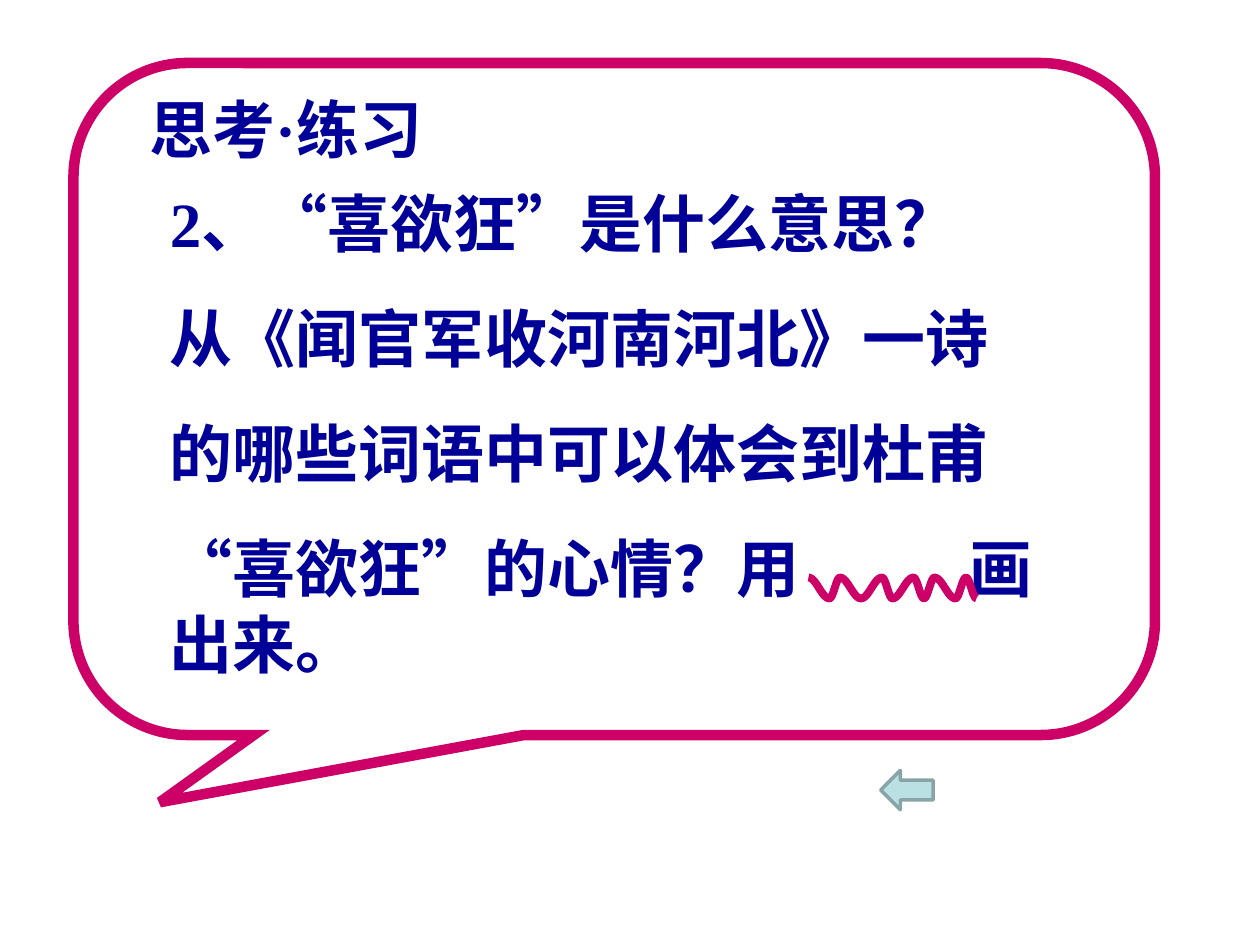
"""Build the reading exercise slide with its speech bubble."""
from itertools import pairwise
from math import cos, pi

from lxml.etree import SubElement
from pptx import Presentation
from pptx.dml.color import RGBColor
from pptx.enum.shapes import MSO_SHAPE
from pptx.enum.text import MSO_ANCHOR, MSO_AUTO_SIZE, PP_ALIGN
from pptx.oxml.ns import qn
from pptx.util import Pt

PX = 9525
NAVY = RGBColor(0x00, 0x00, 0x99)
PINK = RGBColor(0xCC, 0x00, 0x66)
WHITE = RGBColor(0xFF, 0xFF, 0xFF)
PALE = RGBColor(0xBB, 0xE0, 0xE3)
GREY = RGBColor(0x89, 0xA4, 0xA7)

TITLE = "思考·练习"
LINES = [
    "2、“喜欲狂”是什么意思？",
    "从《闻官军收河南河北》一诗",
    "的哪些词语中可以体会到杜甫",
    "“喜欲狂”的心情？用\t画出来。",
]
TURNS = [616, 632, 640, 656, 672, 680, 696, 704, 712, 728, 736, 744]


def write(frame, lines, *, size=36, color=NAVY, font="Times New Roman", gap=0, tab=None):
    """Fill a text frame with formatted paragraphs."""
    frame.word_wrap = True
    frame.auto_size = MSO_AUTO_SIZE.NONE
    frame.vertical_anchor = MSO_ANCHOR.TOP
    for i, line in enumerate(lines):
        para = frame.paragraphs[0] if i == 0 else frame.add_paragraph()
        if tab and "\t" in line:
            stops = SubElement(para._p.get_or_add_pPr(), qn("a:tabLst"))
            SubElement(stops, qn("a:tab"), pos=str(tab * PX), algn="l")
        para.alignment = PP_ALIGN.LEFT
        para.space_before = Pt(gap if i else 0)
        run = para.add_run()
        run.text = line
        run.font.name = font
        run.font.size = Pt(size)
        run.font.bold = True
        run.font.color.rgb = color


class Page:
    """Hold the slide and draw each kind of element on it."""

    def __init__(self, deck):
        self.slide = deck.slides.add_slide(deck.slide_layouts[5])
        self.items = self.slide.shapes

    def style(self, item, fill=None, line=None, width=1):
        item.shadow.inherit = False
        if fill is None:
            item.fill.background()
        else:
            item.fill.solid()
            item.fill.fore_color.rgb = fill
        if line is None:
            item.line.fill.background()
        else:
            item.line.color.rgb = line
            item.line.width = Pt(width)

    def title(self, text, *box):
        item = self.items.title
        item.left, item.top, item.width, item.height = (n * PX for n in box)
        write(item.text_frame, [text])

    def shape(self, kind, *box, adjust=(), **look):
        item = self.items.add_shape(kind, *(n * PX for n in box))
        for i, value in enumerate(adjust):
            item.adjustments[i] = value
        self.style(item, **look)
        return item

    def bubble(self, *box, **look):
        item = self.shape(MSO_SHAPE.ROUNDED_RECTANGULAR_CALLOUT, *box, **look)
        SubElement(item.line._get_or_add_ln(), qn("a:miter"), lim="800000")

    def wave(self, turns, high, low, steps=12, **look):
        points = []
        for i, (left, right) in enumerate(pairwise(turns)):
            start, end = (low, high) if i % 2 else (high, low)
            for step in range(1, steps + 1):
                part = step / steps
                ease = (1 - cos(pi * part)) / 2
                points.append(((left + (right - left) * part) * PX,
                               (start + (end - start) * ease) * PX))
        pen = self.items.build_freeform(turns[0] * PX, high * PX)
        pen.add_line_segments(points, close=False)
        self.style(pen.convert_to_shape(), **look)


def main():
    deck = Presentation()
    deck.slide_width, deck.slide_height = 960 * PX, 720 * PX
    page = Page(deck)
    page.title(TITLE, 104, 64, 272, 67)
    body = page.shape(MSO_SHAPE.RECTANGLE, 120, 136, 696, 388, fill=WHITE)
    write(body.text_frame, LINES, gap=22.5, tab=609)
    page.bubble(56, 48, 824, 512, adjust=(-0.42, 0.6, 0.17), line=PINK, width=6)
    page.wave(TURNS, 440, 456, line=PINK, width=4.5)
    page.shape(MSO_SHAPE.LEFT_ARROW, 671, 587, 40, 30, fill=PALE, line=GREY, width=2)
    deck.save("out.pptx")


if __name__ == "__main__":
    main()
